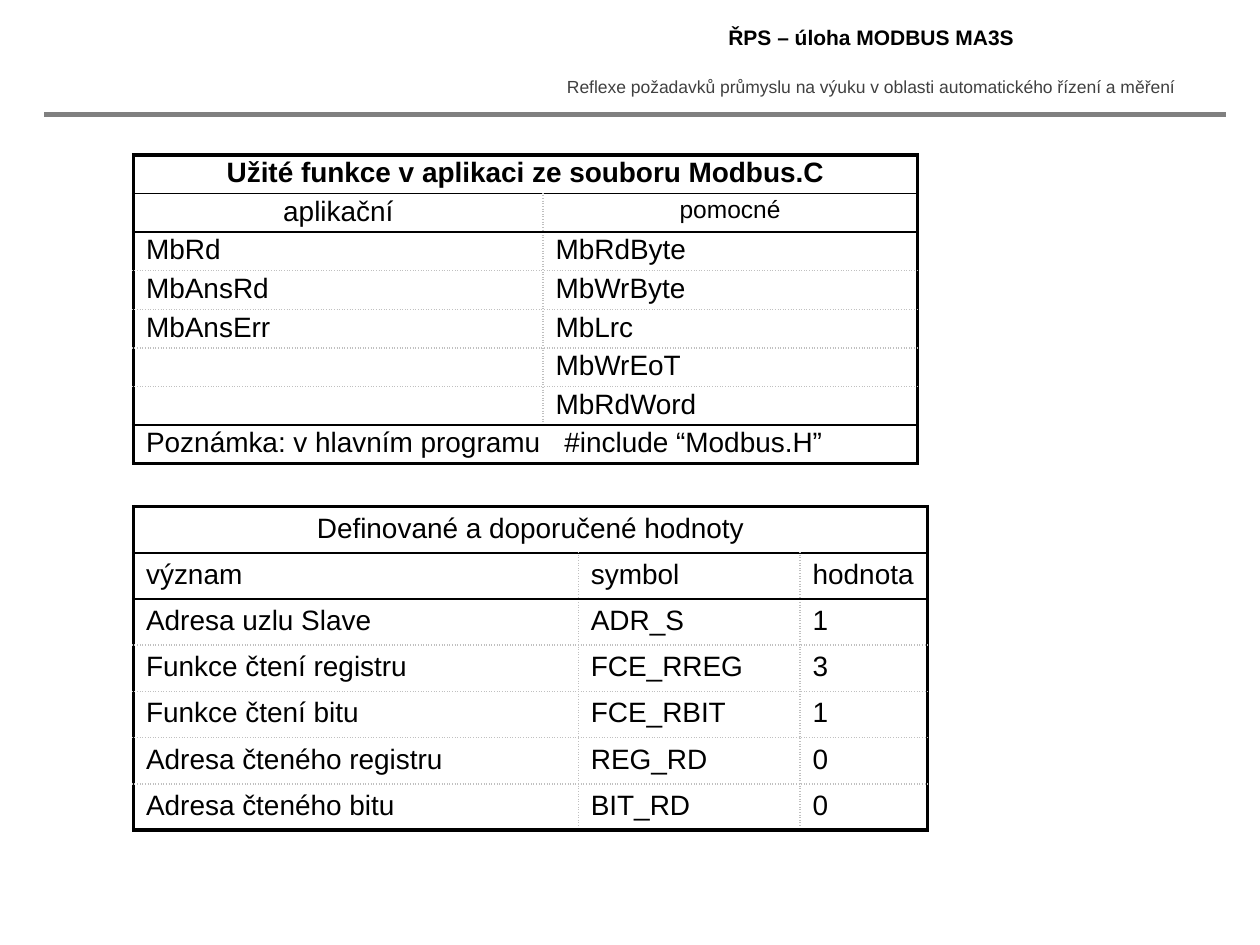
import pptx
import pptx.util
import pptx.dml.color
import pptx.enum.shapes
import pptx.enum.text
import pptx.oxml
import pptx.oxml.ns
from lxml import etree

Inches = pptx.util.Inches
Pt = pptx.util.Pt
qn = pptx.oxml.ns.qn
ALIGN = pptx.enum.text.PP_ALIGN
MIDDLE = pptx.enum.text.MSO_ANCHOR.MIDDLE

COLORS = {"text": "000000", "motto": "404040", "rule": "808080", "grid": "C0C0C0"}
FONT = "Arial"
BODY_SIZE = 16

# Border kinds: colour, width in points, dash
OUTER = ("text", 2.25, "solid")
SOLID = ("text", 1, "solid")
DOTTED = ("grid", 1, "sysDot")

FUNCTIONS = [
    ["Užité funkce v aplikaci ze souboru Modbus.C"],
    ["aplikační", "pomocné"],
    ["MbRd", "MbRdByte"],
    ["MbAnsRd", "MbWrByte"],
    ["MbAnsErr", "MbLrc"],
    ["", "MbWrEoT"],
    ["", "MbRdWord"],
    ["Poznámka: v hlavním programu\t#include “Modbus.H”"],
]
VALUES = [
    ["Definované a doporučené hodnoty"],
    ["význam", "symbol", "hodnota"],
    ["Adresa uzlu Slave", "ADR_S", "1"],
    ["Funkce čtení registru", "FCE_RREG", "3"],
    ["Funkce čtení bitu", "FCE_RBIT", "1"],
    ["Adresa čteného registru", "REG_RD", "0"],
    ["Adresa čteného bitu", "BIT_RD", "0"],
]


def rgb(name):
    return pptx.dml.color.RGBColor.from_string(COLORS[name])


def add_run(paragraph, text, size, color="text", bold=False):
    run = paragraph.add_run()
    run.text = text
    run.font.name = FONT
    run.font.size = Pt(size)
    run.font.bold = bold
    run.font.color.rgb = rgb(color)


def add_heading(slide, text, left, top, width, height, size, color="text", bold=False):
    box = slide.shapes.add_textbox(Inches(left), Inches(top), Inches(width), Inches(height))
    box.text_frame.word_wrap = True
    box.text_frame.vertical_anchor = MIDDLE
    paragraph = box.text_frame.paragraphs[0]
    paragraph.alignment = ALIGN.CENTER
    add_run(paragraph, text, size, color, bold)


def add_rule(slide, left, right, y):
    rule = slide.shapes.add_connector(
        pptx.enum.shapes.MSO_CONNECTOR.STRAIGHT,
        Inches(left), Inches(y), Inches(right), Inches(y))
    rule.line.color.rgb = rgb("rule")
    rule.line.width = Pt(3)
    etree.SubElement(rule._element.spPr, qn("a:effectLst"))


def set_border(cell, side, border):
    color, width, dash = border
    line = etree.SubElement(cell._tc.get_or_add_tcPr(), qn(f"a:ln{side}"), w=str(Pt(width)))
    fill = etree.SubElement(line, qn("a:solidFill"))
    etree.SubElement(fill, qn("a:srgbClr"), val=COLORS[color])
    etree.SubElement(line, qn("a:prstDash"), val=dash)


def add_tab_stop(paragraph, position):
    stops = etree.SubElement(paragraph._p.get_or_add_pPr(), qn("a:tabLst"))
    etree.SubElement(stops, qn("a:tab"), pos=str(Inches(position)), algn="l")


def fill_cell(cell, text, size, bold, centered, pad):
    cell.margin_top = cell.margin_bottom = Inches(pad)
    paragraph = cell.text_frame.paragraphs[0]
    if centered:
        paragraph.alignment = ALIGN.CENTER
    if "\t" in text:
        add_tab_stop(paragraph, 3.32)
    if text:
        add_run(paragraph, text, size, bold=bold)
    else:
        # An empty cell keeps the body size so that its row does not grow
        etree.SubElement(paragraph._p, qn("a:endParaRPr"), sz=str(size * 100))


def add_grid(slide, rows, left, top, widths, height, solid_lines, centered_rows,
             pad, bold_rows=(), sizes=None):
    """Rows with a single text span the table; solid_lines are row boundaries."""
    last_row, last_column = len(rows), len(widths)
    table = slide.shapes.add_table(
        last_row, last_column, Inches(left), Inches(top),
        Inches(sum(widths)), Inches(height)).table
    table.first_row = table.horz_banding = False
    for column, width in zip(table.columns, widths):
        column.width = Inches(width)

    def row_line(index):
        if index in (0, last_row):
            return OUTER
        return SOLID if index in solid_lines else DOTTED

    def column_line(index):
        return OUTER if index in (0, last_column) else DOTTED

    for r, texts in enumerate(rows):
        table.rows[r].height = Inches(height / last_row)
        spans = len(texts) == 1
        if spans:
            table.cell(r, 0).merge(table.cell(r, last_column - 1))
        for c, text in enumerate(texts):
            cell = table.cell(r, c)
            size = (sizes or {}).get((r, c), BODY_SIZE)
            fill_cell(cell, text, size, r in bold_rows, r in centered_rows, pad)
            set_border(cell, "L", column_line(c))
            set_border(cell, "R", column_line(last_column if spans else c + 1))
            set_border(cell, "T", row_line(r))
            set_border(cell, "B", row_line(r + 1))
            cell.fill.background()


def main():
    deck = pptx.Presentation()
    deck.slide_width, deck.slide_height = Inches(10), Inches(7.5)
    slide = deck.slides.add_slide(deck.slide_layouts[6])

    # Header
    add_heading(slide, "Reflexe požadavků průmyslu na výuku v oblasti automatického řízení a měření",
                4.3, 0.55, 5.22, 0.27, 10, color="motto")
    add_heading(slide, "ŘPS – úloha MODBUS MA3S", 4.3, 0.14, 5.23, 0.31, 12, bold=True)
    add_rule(slide, 0.35, 9.73, 0.91)

    # Functions used in the application
    add_grid(slide, FUNCTIONS, 1.06, 1.23, [3.25, 2.97], 2.45, solid_lines=(1, 2, 7),
             centered_rows=(0, 1), pad=0.02, bold_rows=(0,), sizes={(1, 1): 14})

    # Defined and recommended values
    add_grid(slide, VALUES, 1.06, 4.02, [3.53, 1.76, 1.01], 2.57, solid_lines=(1, 2),
             centered_rows=(0,), pad=0.05)

    deck.save("out.pptx")


if __name__ == "__main__":
    main()
